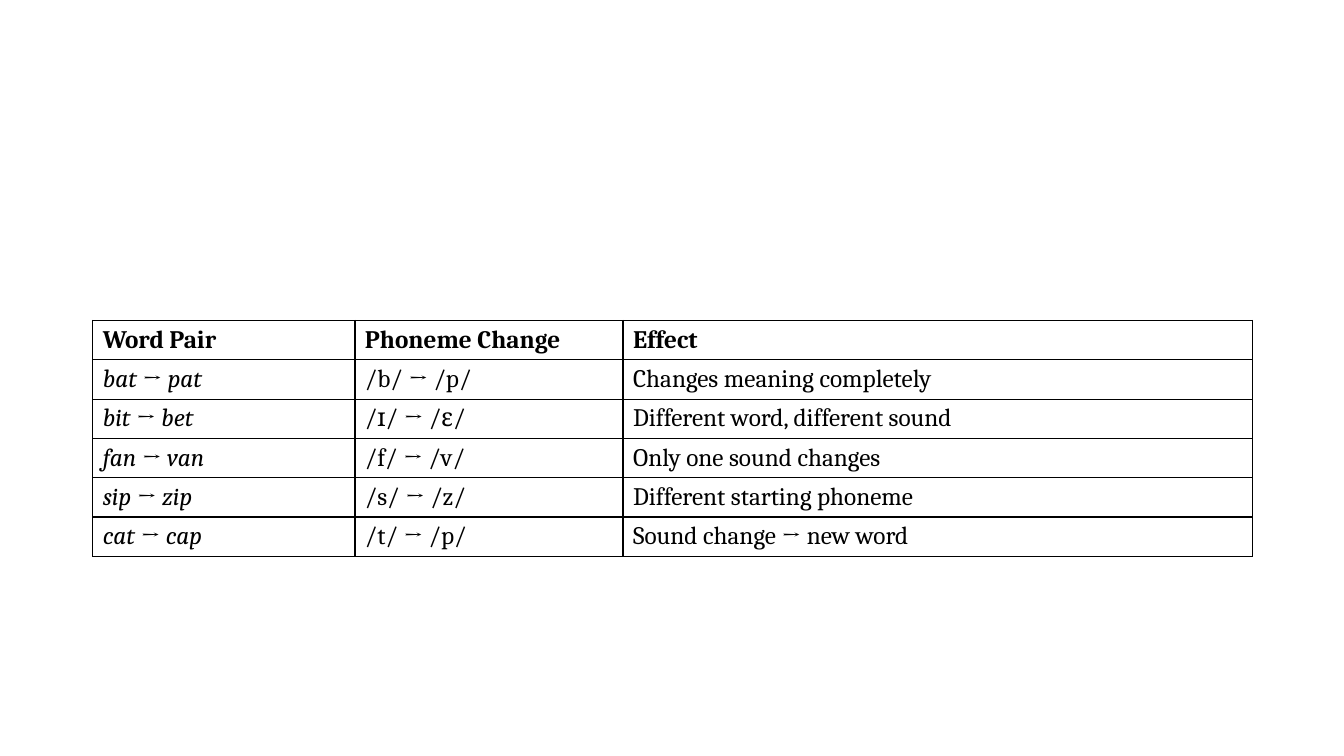
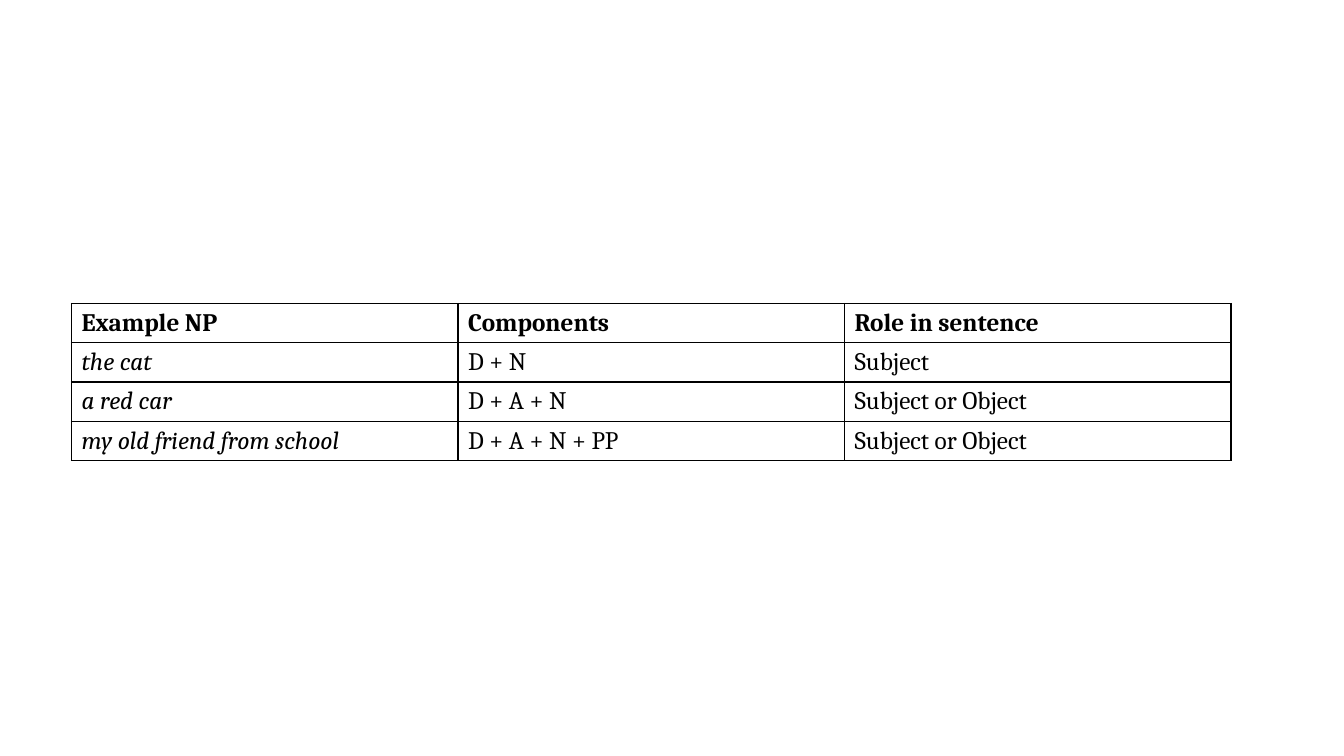
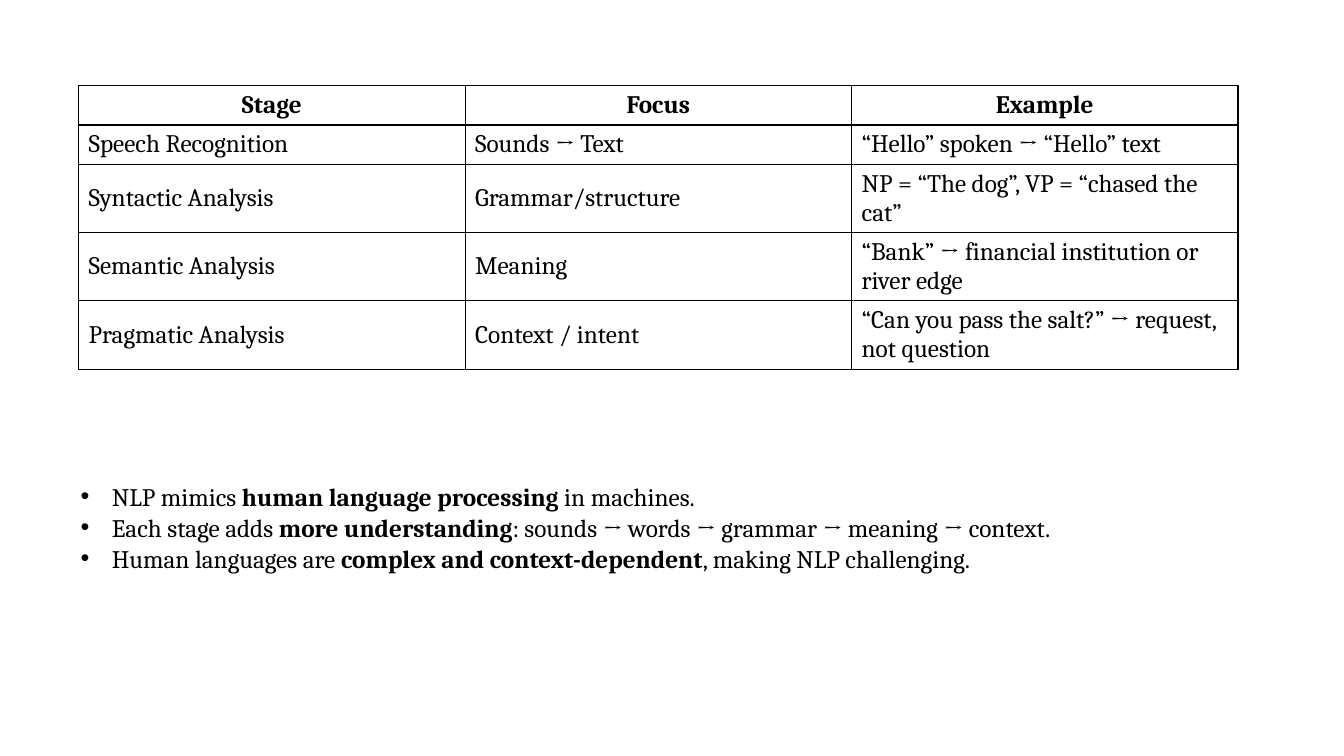
from dataclasses import dataclass

from lxml import etree
from pptx import Presentation
from pptx import util as u
from pptx.dml.color import RGBColor
from pptx.enum import text
from pptx.oxml import ns


@dataclass(frozen=True)
class Theme:
    font: str = "Cambria"
    size: int = 18
    ink: str = "000000"
    border: float = 1
    row_height: float = 0.39
    bullet_indent: float = 0.31


THEME = Theme()
BLANK_LAYOUT, CONTENT_LAYOUT = 6, 1

# Words between asterisks are emphasised
PHONEME_ROWS = [
    ["Word Pair", "Phoneme Change", "Effect"],
    ["*bat* → *pat*", "/b/ → /p/", "Changes meaning completely"],
    ["*bit* → *bet*", "/ɪ/ → /ɛ/", "Different word, different sound"],
    ["*fan* → *van*", "/f/ → /v/", "Only one sound changes"],
    ["*sip* → *zip*", "/s/ → /z/", "Different starting phoneme"],
    ["*cat* → *cap*", "/t/ → /p/", "Sound change → new word"],
]
NOUN_PHRASE_ROWS = [
    ["Example NP", "Components", "Role in sentence"],
    ["*the cat*", "D + N", "Subject"],
    ["*a red car*", "D + A + N", "Subject or Object"],
    ["*my old friend from school*", "D + A + N + PP", "Subject or Object"],
]
STAGE_ROWS = [
    ["Stage", "Focus", "Example"],
    ["Speech Recognition", "Sounds → Text", "“Hello” spoken → “Hello” text"],
    ["Syntactic Analysis", "Grammar/structure",
     "NP = “The dog”, VP = “chased the cat”"],
    ["Semantic Analysis", "Meaning",
     "“Bank” → financial institution or river edge"],
    ["Pragmatic Analysis", "Context / intent",
     "“Can you pass the salt?” → request, not question"],
]
SUMMARY = [
    "NLP mimics *human language processing* in machines.",
    "Each stage adds *more understanding*: sounds → words → grammar → meaning → context.",
    "Human languages are *complex and context-dependent*, making NLP challenging.",
]
EQUAL_COLUMNS = [11.5 / 3] * 3


def set_all(target, values):
    for name, value in values.items():
        setattr(target, name, value)


# Text
def write_runs(paragraph, content, emphasis, bold=False):
    """Add runs, giving the parts between asterisks the named emphasis."""
    for index, part in enumerate(content.split("*")):
        if not part:
            continue
        run = paragraph.add_run()
        run.text = part
        style = {"name": THEME.font, "size": u.Pt(THEME.size),
                 "bold": bold, "italic": False}
        if index % 2:
            style[emphasis] = True
        set_all(run.font, style)
        run.font.color.rgb = RGBColor.from_string(THEME.ink)


def add_bullet(paragraph):
    properties = paragraph._p.get_or_add_pPr()
    indent = u.Inches(THEME.bullet_indent)
    properties.set("marL", str(indent))
    properties.set("indent", str(-indent))
    etree.SubElement(properties, ns.qn("a:buFont"), typeface="Arial")
    etree.SubElement(properties, ns.qn("a:buChar"), char="•")


def fill_list(placeholder, box, items):
    left, top, width, height = map(u.Inches, box)
    set_all(placeholder, {"left": left, "top": top, "width": width, "height": height})
    frame = placeholder.text_frame
    set_all(frame, {"word_wrap": True, "auto_size": text.MSO_AUTO_SIZE.NONE,
                    "vertical_anchor": text.MSO_ANCHOR.MIDDLE})
    for index, item in enumerate(items):
        paragraph = frame.add_paragraph() if index else frame.paragraphs[0]
        add_bullet(paragraph)
        set_all(paragraph, {"space_before": u.Pt(0), "line_spacing": 1.03})
        write_runs(paragraph, item, "bold")


# Tables
def outline_cell(cell):
    cell.fill.background()
    properties = cell._tc.get_or_add_tcPr()
    for index, side in enumerate(("lnL", "lnR", "lnT", "lnB")):
        line = etree.Element(ns.qn(f"a:{side}"), w=str(u.Pt(THEME.border)))
        fill = etree.SubElement(line, ns.qn("a:solidFill"))
        etree.SubElement(fill, ns.qn("a:srgbClr"), val=THEME.ink)
        properties.insert(index, line)


def add_grid(slide, left, top, columns, rows, header_align=text.PP_ALIGN.LEFT):
    frame = slide.shapes.add_table(
        len(rows), len(columns), u.Inches(left), u.Inches(top),
        u.Inches(sum(columns)), u.Inches(THEME.row_height * len(rows)))
    table = frame.table
    set_all(table, {"first_row": False, "horz_banding": False})
    for column, width in zip(table.columns, columns):
        column.width = u.Inches(width)
    for row_index, row in enumerate(rows):
        is_header = row_index == 0
        for column_index, content in enumerate(row):
            cell = table.cell(row_index, column_index)
            cell.vertical_anchor = text.MSO_ANCHOR.MIDDLE
            outline_cell(cell)
            paragraph = cell.text_frame.paragraphs[0]
            paragraph.alignment = header_align if is_header else text.PP_ALIGN.LEFT
            write_runs(paragraph, content, "italic", bold=is_header)


# Slides
def add_slide(presentation, layout):
    return presentation.slides.add_slide(presentation.slide_layouts[layout])


def main():
    presentation = Presentation()
    set_all(presentation, {"slide_width": u.Inches(13.33),
                           "slide_height": u.Inches(7.5)})

    phonemes = add_slide(presentation, BLANK_LAYOUT)
    add_grid(phonemes, 0.92, 3.18, [2.6, 2.66, 6.24], PHONEME_ROWS)

    noun_phrases = add_slide(presentation, BLANK_LAYOUT)
    add_grid(noun_phrases, 0.71, 3.01, EQUAL_COLUMNS, NOUN_PHRASE_ROWS)

    stages = add_slide(presentation, CONTENT_LAYOUT)
    title = stages.shapes.title._element
    title.getparent().remove(title)
    add_grid(stages, 0.78, 0.85, EQUAL_COLUMNS, STAGE_ROWS, text.PP_ALIGN.CENTER)
    fill_list(stages.placeholders[1], (0.7, 4.72, 11.05, 1.01), SUMMARY)

    presentation.save("out.pptx")


if __name__ == "__main__":
    main()
